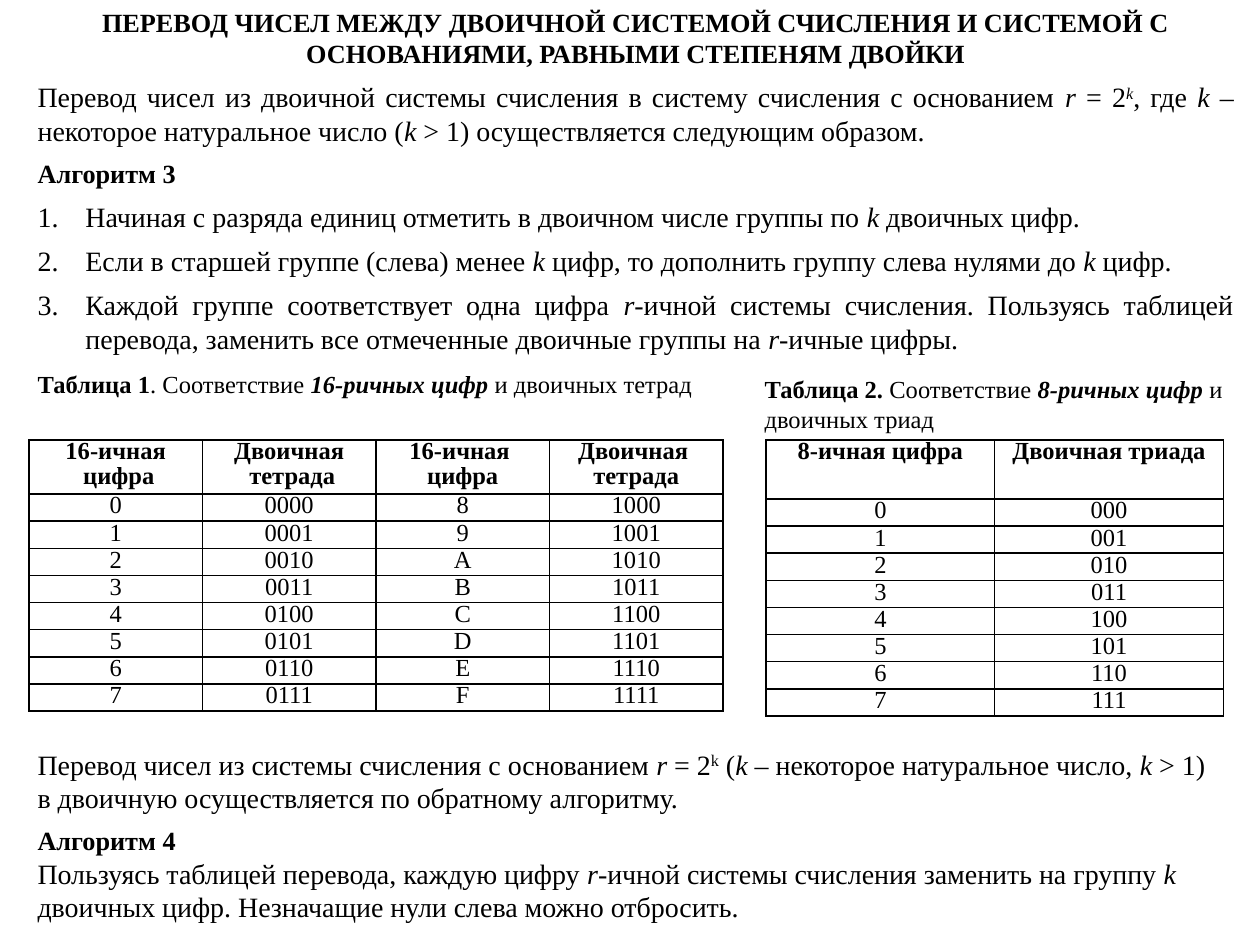
"""Build the slide on converting numbers between binary and power-of-two bases."""
from lxml.etree import SubElement as Sub
from pptx import Presentation
from pptx.dml.color import RGBColor as Rgb
from pptx.enum.text import PP_ALIGN as Al
from pptx.oxml.ns import qn
from pptx.util import Inches, Pt

FONT = "Times New Roman"
HUES = {"ink": "000000"}

BODY = [
    ("title", [("b", "ПЕРЕВОД ЧИСЕЛ МЕЖДУ ДВОИЧНОЙ СИСТЕМОЙ СЧИСЛЕНИЯ И СИСТЕМОЙ С "
                     "ОСНОВАНИЯМИ, РАВНЫМИ СТЕПЕНЯМ ДВОЙКИ")]),
    ("text", [("", "Перевод чисел из двоичной системы счисления в систему счисления с основанием "),
              ("i", "r"), ("", " = 2"), ("i^", "k"), ("", ", где "), ("i", "k "),
              ("", "– некоторое натуральное число ("), ("i", "k"),
              ("", " > 1) осуществляется следующим образом.")]),
    ("head", [("b", "Алгоритм 3")]),
    ("step", [("", "Начиная с разряда единиц отметить в двоичном числе группы по "),
              ("i", "k"), ("", " двоичных цифр.")]),
    ("step", [("", "Если в старшей группе (слева) менее "), ("i", "k"),
              ("", " цифр, то дополнить группу слева нулями до "), ("i", "k "), ("", "цифр.")]),
    ("step", [("", "Каждой группе соответствует одна цифра "), ("i", "r"),
              ("", "-ичной системы счисления. Пользуясь таблицей перевода, "
                   "заменить все отмеченные двоичные группы на "),
              ("i", "r"), ("", "-ичные цифры.")]),
]
HEX_CAP = [("cap", [("b", "Таблица 1"), ("", ". Соответствие "),
                    ("bi", "16-ричных цифр "), ("", "и двоичных тетрад")])]
OCT_CAP = [("cap", [("b", "Таблица 2. "), ("", "Соответствие "),
                    ("bi", "8-ричных цифр"), ("", " и двоичных триад")])]
BACK = [
    ("plain", [("", "Перевод чисел из системы счисления с основанием "), ("i", "r "),
               ("", "= 2"), ("^", "k"), ("", " ("), ("i", "k "),
               ("", "– некоторое натуральное число, "), ("i", "k"),
               ("", " > 1) в двоичную осуществляется по обратному алгоритму.")]),
    ("head", [("b", "Алгоритм 4")]),
    ("plain", [("", "Пользуясь таблицей перевода, каждую цифру "), ("i", "r"),
               ("", "-ичной системы счисления заменить на группу "), ("i", "k"),
               ("", " двоичных цифр. Незначащие нули слева можно отбросить.")]),
]
KINDS = {
    "title": (15, Al.CENTER, 0),
    "text": (16, Al.JUSTIFY, 6),
    "head": (15, Al.JUSTIFY, 6),
    "step": (16, Al.JUSTIFY, 6),
    "cap": (14, Al.LEFT, 0),
    "plain": (16, Al.LEFT, 0),
}
BOXES = [
    ((0.2, 0, 9.69, 5.64), BODY),
    ((0.2, 2.88, 5.81, 0.64), HEX_CAP),
    ((5.97, 2.92, 4.06, 0.57), OCT_CAP),
    ((0.2, 5.88, 9.6, 1.51), BACK),
]
HEX_TOP = ["16-ичная\n цифра", "Двоичная\n тетрада", "16-ичная \nцифра", "Двоичная \nтетрада"]
OCT_TOP = ["8-ичная цифра", "Двоичная триада"]
HEX_ROWS = [[f"{n:X}", f"{n:04b}", f"{n + 8:X}", f"{n + 8:04b}"] for n in range(8)]
OCT_ROWS = [[f"{n}", f"{n:03b}"] for n in range(8)]
GRIDS = [
    (0.23, 5.51, 0.43, [HEX_TOP] + HEX_ROWS),
    (6.08, 3.63, 0.47, [OCT_TOP] + OCT_ROWS),
]
GRID_TOP, ROW, LEAD = 3.49, 0.21, 0.92


def style(run, size, marks):
    font = run.font
    font.name, font.size = FONT, Pt(size)
    font.bold, font.italic = "b" in marks, "i" in marks
    font.color.rgb = Rgb.from_string(HUES["ink"])
    if "^" in marks:
        run._r.get_or_add_rPr().set("baseline", "30000")


def number(para):
    props = para._p.get_or_add_pPr()
    props.set("marL", str(Inches(0.38)))
    props.set("indent", str(-Inches(0.38)))
    Sub(props, qn("a:buFont"), typeface="+mj-lt")
    Sub(props, qn("a:buAutoNum"), type="arabicPeriod")


def write(slide, place, paras):
    frame = slide.shapes.add_textbox(*map(Inches, place)).text_frame
    frame.word_wrap = True
    for i, (kind, runs) in enumerate(paras):
        para = frame.add_paragraph() if i else frame.paragraphs[0]
        size, para.alignment, gap = KINDS[kind]
        para.space_before = Pt(gap)
        if kind == "step":
            number(para)
        for marks, words in runs:
            run = para.add_run()
            run.text = words
            style(run, size, marks)


def border(cell):
    props = cell._tc.get_or_add_tcPr()
    for side in ("lnL", "lnR", "lnT", "lnB"):
        line = Sub(props, qn(f"a:{side}"), w=str(Pt(1)))
        Sub(Sub(line, qn("a:solidFill")), qn("a:srgbClr"), val=HUES["ink"])


def fill(cell, words, marks):
    border(cell)
    cell.fill.background()
    cell.margin_left = cell.margin_right = Inches(0.07)
    cell.margin_top = cell.margin_bottom = 0
    cell.text_frame.text = words
    for para in cell.text_frame.paragraphs:
        para.alignment, para.line_spacing = Al.CENTER, LEAD
        for run in para.runs:
            style(run, 14, marks)


def draw(slide, left, width, top_row, rows):
    high = top_row + ROW * (len(rows) - 1)
    place = map(Inches, (left, GRID_TOP, width, high))
    table = slide.shapes.add_table(len(rows), len(rows[0]), *place).table
    table.first_row = table.horz_banding = False
    for r, row in enumerate(rows):
        table.rows[r].height = Inches(ROW if r else top_row)
        for c, words in enumerate(row):
            fill(table.cell(r, c), words, "" if r else "b")


def main():
    deck = Presentation()
    deck.slide_width, deck.slide_height = Inches(10), Inches(7.5)
    slide = deck.slides.add_slide(deck.slide_layouts[6])
    for place, paras in BOXES:
        write(slide, place, paras)
    for grid in GRIDS:
        draw(slide, *grid)
    deck.save("out.pptx")


if __name__ == "__main__":
    main()
